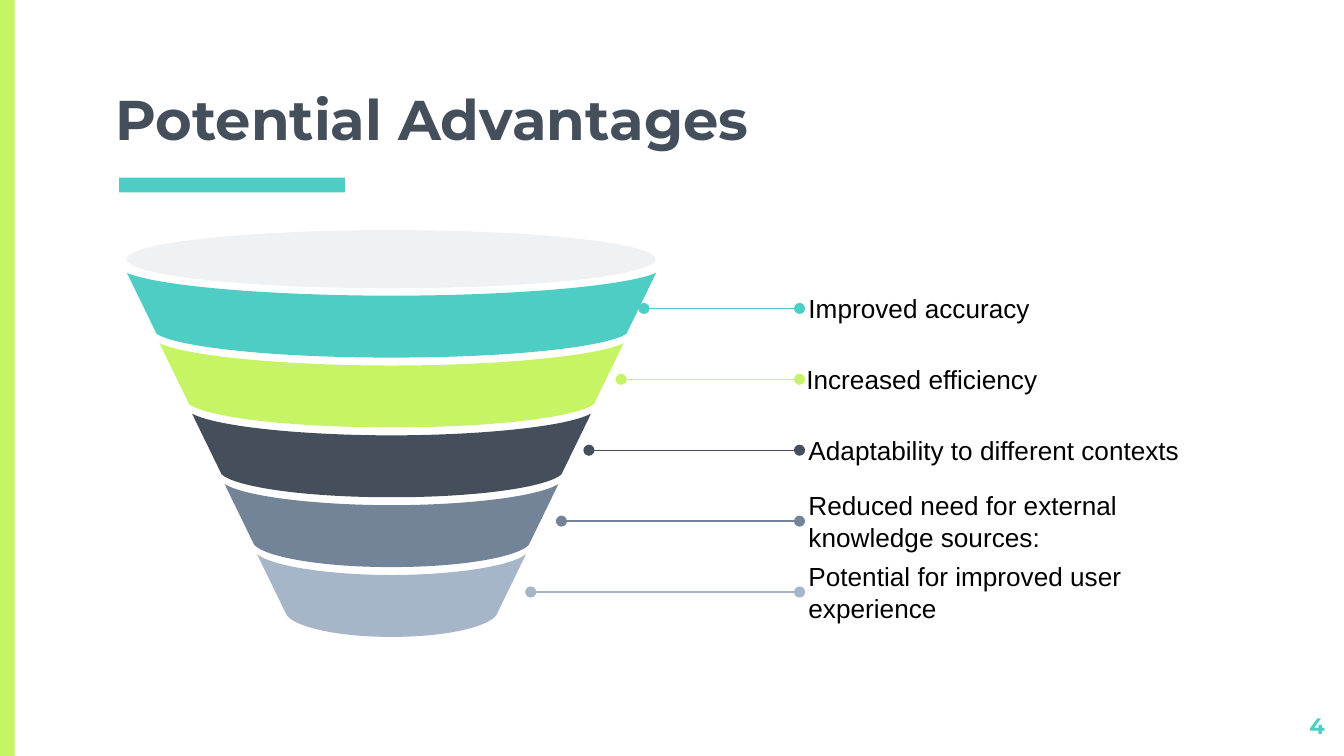
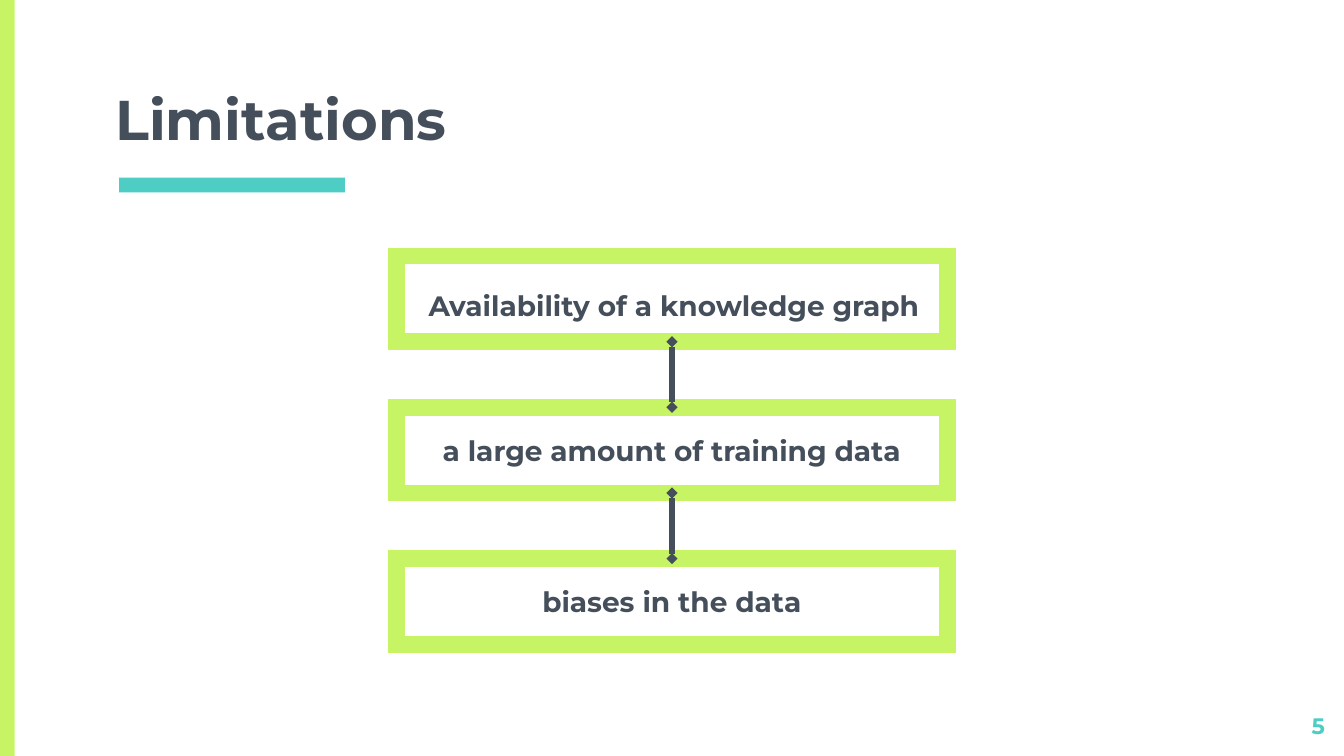
from lxml import etree
from pptx import Presentation
from pptx import util as u
from pptx.dml.color import RGBColor
from pptx.enum import shapes, text
from pptx.oxml.ns import qn

COLORS = {
    "lime": "C7F464",
    "teal": "4ECDC4",
    "slate": "454F5B",
    "steel": "738498",
    "mist": "A6B5C7",
    "pale": "EFF1F3",
    "black": "000000",
}
HEADING_FONT = "Montserrat"
BODY_FONT = "Arial"
INSET = 0.25
SLIDE_WIDTH, SLIDE_HEIGHT = 25.4, 14.29
MASTER_BARS = [
    (0, 0, 0.28, SLIDE_HEIGHT, "lime"),
    (2.25, 3.36, 4.27, 0.28, "teal"),
]

FUNNEL_CENTER = 7.4
FUNNEL_TOP = 5.16
FUNNEL_HALF_WIDTH = 5
BAND_STEP = 1.33
BAND_SIDE = 1.15

LEADER_TOP, LEADER_STEP, LEADER_END = 5.83, 1.34, 15.11
LABEL_BOX = (15.28, 7.75, 0.97, 0)
PADDED_LABEL_BOX = (14.99, 8.33, 1.12, INSET)

ADVANTAGES = [
    ("Improved accuracy", "teal", 12.17, LABEL_BOX),
    ("Increased efficiency", "lime", 11.74, PADDED_LABEL_BOX),
    ("Adaptability to different contexts", "slate", 11.13, LABEL_BOX),
    ("Reduced need for external knowledge sources:", "steel", 10.61, LABEL_BOX),
    ("Potential for improved user experience", "mist", 10.03, LABEL_BOX),
]
LIMITATIONS = [
    ("Availability of a knowledge graph", 0.33, 0.5),
    ("a large amount of training data", INSET, INSET),
    ("biases in the data", INSET, INSET),
]


def rgb(name):
    return RGBColor.from_string(COLORS[name])


def paint(shape, color):
    shape.shadow.inherit = False
    shape.fill.solid()
    shape.fill.fore_color.rgb = rgb(color)
    shape.line.fill.background()


def write(frame, wording, size, color, font=HEADING_FONT, bold=True,
          align=text.PP_ALIGN.LEFT, anchor=text.MSO_ANCHOR.MIDDLE, inset=INSET):
    frame.word_wrap = True
    frame.auto_size = text.MSO_AUTO_SIZE.NONE
    frame.vertical_anchor = anchor
    frame.margin_left = frame.margin_right = u.Cm(inset)
    frame.margin_top = frame.margin_bottom = u.Cm(inset)
    frame.text = wording
    paragraph = frame.paragraphs[0]
    paragraph.alignment = align
    paragraph.font.name = font
    paragraph.font.size = u.Pt(size)
    paragraph.font.bold = bold
    paragraph.font.color.rgb = rgb(color)


def add_text(slide, left, top, width, height, wording, **style):
    box = slide.shapes.add_textbox(u.Cm(left), u.Cm(top), u.Cm(width), u.Cm(height))
    write(box.text_frame, wording, **style)


def dress_master(deck):
    tree = deck.slide_master.shapes._spTree
    for index, (left, top, width, height, color) in enumerate(MASTER_BARS):
        bar = deck.slides[0].shapes.add_shape(
            shapes.MSO_SHAPE.RECTANGLE, u.Cm(left), u.Cm(top), u.Cm(width), u.Cm(height))
        paint(bar, color)
        bar._element.nvSpPr.cNvPr.set("id", str(20 + index))
        tree.insert(2 + index, bar._element)


def add_titled_slide(deck, heading, number):
    slide = deck.slides.add_slide(deck.slide_layouts[5])
    title = slide.shapes.title
    title.left, title.top = u.Cm(1.93), u.Cm(1.75)
    title.width, title.height = u.Cm(21.56), u.Cm(1.37)
    write(title.text_frame, heading, 30, "slate", anchor=text.MSO_ANCHOR.BOTTOM)
    add_text(slide, 23.77, 13.22, 1.52, 0.86, str(number), size=12, color="teal",
             align=text.PP_ALIGN.RIGHT, anchor=text.MSO_ANCHOR.TOP)
    return slide


def add_line(slide, start, end, color, width, marker, marker_size="med"):
    line = slide.shapes.add_connector(shapes.MSO_CONNECTOR.STRAIGHT,
                                      *(u.Cm(value) for value in start + end))
    line.line.color.rgb = rgb(color)
    line.line.width = u.Pt(width)
    outline = line.line._get_or_add_ln()
    for tip in ("a:headEnd", "a:tailEnd"):
        etree.SubElement(outline, qn(tip), type=marker, w=marker_size, len=marker_size)
    etree.SubElement(line._element.spPr, qn("a:effectLst"))
    return line


def arc(half_width, top, sag, outer, inner):
    half = [(-half_width, top),
            (-outer[0] * half_width, top + outer[1] * sag),
            (-inner * half_width, top + sag),
            (0, top + sag)]
    return half + [(-x, y) for x, y in reversed(half[:-1])]


def bend(segments):
    curve = etree.Element(qn("a:cubicBezTo"))
    segments[0].addprevious(curve)
    for segment in segments:
        curve.append(segment[0])
        segment.getparent().remove(segment)


def add_band(funnel, index, color):
    top = FUNNEL_TOP + index * BAND_STEP
    half_top = FUNNEL_HALF_WIDTH - index * 0.615
    rim = arc(half_top, top, 0.43 - 0.01 * index, (0.87, 0.63), 0.42)
    base = arc(half_top - 0.56, top + BAND_SIDE, 0.45 - 0.01 * index, (0.92, 0.53), 0.53)
    outline = [(u.Cm(FUNNEL_CENTER + x), u.Cm(y)) for x, y in rim + base[::-1]]
    builder = funnel.shapes.build_freeform(*outline[0])
    builder.add_line_segments(outline[1:], close=True)
    band = builder.convert_to_shape()
    segments = list(band._element.iter(qn("a:lnTo")))
    for first in (0, 3, 7, 10):
        bend(segments[first:first + 3])
    paint(band, color)


def add_funnel(slide, colors):
    funnel = slide.shapes.add_group_shape()
    for index, color in enumerate(colors):
        add_band(funnel, index, color)
    mouth = funnel.shapes.add_shape(
        shapes.MSO_SHAPE.OVAL, u.Cm(2.39), u.Cm(4.35),
        u.Cm(2 * FUNNEL_HALF_WIDTH), u.Cm(1.1))
    paint(mouth, "pale")


def add_limitation(slide, top, wording, left_inset, top_inset):
    box = slide.shapes.add_shape(shapes.MSO_SHAPE.RECTANGLE, u.Cm(7.49), u.Cm(top),
                                 u.Cm(10.42), u.Cm(1.62))
    box.shadow.inherit = False
    box.fill.background()
    box.line.color.rgb = rgb("lime")
    box.line.width = u.Pt(9)
    etree.SubElement(box.line._get_or_add_ln(), qn("a:miter"), lim="800000")
    write(box.text_frame, wording, 15, "slate", align=text.PP_ALIGN.CENTER)
    box.text_frame.margin_left = u.Cm(left_inset)
    box.text_frame.margin_top = u.Cm(top_inset)
    return box


def build_advantages(deck):
    slide = add_titled_slide(deck, "Potential Advantages", 4)
    add_funnel(slide, [color for _, color, _, _ in ADVANTAGES])
    for index, (wording, color, start, label_box) in enumerate(ADVANTAGES):
        middle = LEADER_TOP + index * LEADER_STEP
        left, width, height, inset = label_box
        add_line(slide, (start, middle), (LEADER_END, middle), color, 0.75, "oval")
        add_text(slide, left, middle - height / 2, width, height, wording, size=14,
                 color="black", font=BODY_FONT, bold=False, inset=inset)


def build_limitations(deck):
    slide = add_titled_slide(deck, "Limitations", 5)
    boxes = [add_limitation(slide, 4.84 + index * 2.86, *limitation)
             for index, limitation in enumerate(LIMITATIONS)]
    for upper, lower in zip(boxes, boxes[1:]):
        link = add_line(slide, (0, 0), (0, 0), "slate", 3, "diamond", "sm")
        link.begin_connect(upper, 2)
        link.end_connect(lower, 0)


def main():
    deck = Presentation()
    deck.slide_width, deck.slide_height = u.Cm(SLIDE_WIDTH), u.Cm(SLIDE_HEIGHT)
    build_advantages(deck)
    build_limitations(deck)
    dress_master(deck)
    deck.save("out.pptx")


if __name__ == "__main__":
    main()
